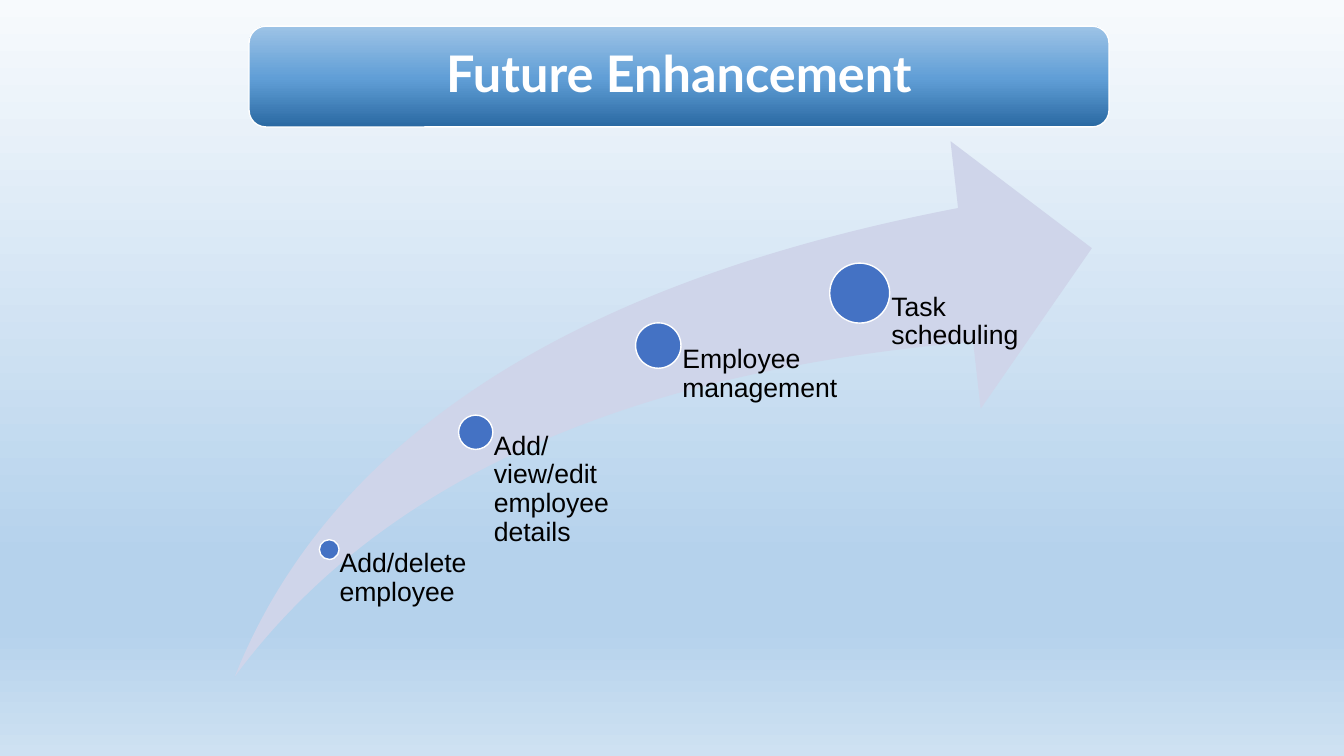
from lxml import etree
from pptx import Presentation
from pptx.dml.color import RGBColor
from pptx.enum.shapes import MSO_SHAPE
from pptx.enum.text import MSO_ANCHOR, PP_ALIGN
from pptx.oxml.ns import qn
from pptx.util import Inches, Pt

ROUNDED, SWOOSH, OVAL = MSO_SHAPE.ROUNDED_RECTANGLE, MSO_SHAPE.SWOOSH_ARROW, MSO_SHAPE.OVAL
TOP, MIDDLE = MSO_ANCHOR.TOP, MSO_ANCHOR.MIDDLE
LEFT, CENTER = PP_ALIGN.LEFT, PP_ALIGN.CENTER

COLORS = {"white": "FFFFFF", "black": "000000", "arrow": "CFD5EA", "dot": "4472C4"}
SKY = [(0, "F7FAFD"), (74, "B5D2EC"), (83, "B5D2EC"), (100, "CEE1F2")]
BANNER = [(0, "2A69A2"), (48, "609ED6"), (100, "9DC3E6")]


def set_gradient(fill, owner, stops, angle):
    fill.gradient()
    fill.gradient_angle = angle
    stop_list = next(owner.iter(qn("a:gsLst")))
    for old_stop in list(stop_list):
        stop_list.remove(old_stop)
    for percent, color in stops:
        stop = etree.SubElement(stop_list, qn("a:gs"), pos=str(percent * 1000))
        etree.SubElement(stop, qn("a:srgbClr"), val=color)


def add_label(group, box, text, insets, size, font, color, bold, align, anchor):
    frame = group.shapes.add_textbox(*map(Inches, box)).text_frame
    frame.word_wrap = True
    frame.vertical_anchor = anchor
    frame.margin_left, frame.margin_top, frame.margin_right, frame.margin_bottom = map(Inches, insets)
    paragraph = frame.paragraphs[0]
    paragraph.alignment = align
    paragraph.line_spacing = 0.9
    run = paragraph.add_run()
    run.text = text
    run.font.size = Pt(size)
    run.font.name = font
    run.font.bold = bold
    run.font.color.rgb = RGBColor.from_string(COLORS[color])


prs = Presentation()
prs.slide_width, prs.slide_height = Inches(13.33), Inches(7.5)
slide = prs.slides.add_slide(prs.slide_layouts[6])
set_gradient(slide.background.fill, slide.element, SKY, 270)

title_group = slide.shapes.add_group_shape()
banner = title_group.shapes.add_shape(ROUNDED, Inches(2.47), Inches(0.26), Inches(8.53), Inches(1))
banner.shadow.inherit = False
set_gradient(banner.fill, banner.element, BANNER, 90)
banner.line.color.rgb = RGBColor.from_string(COLORS["white"])
banner.line.width = Pt(1)
add_label(title_group, (2.52, 0.31, 8.43, 0.9), "Future Enhancement", [0.15] * 4,
          36, "Lato", "white", True, CENTER, MIDDLE)

arrow_left, arrow_top, arrow_width, arrow_height = 2.33, 1.4, 8.5, 5.31
roadmap = slide.shapes.add_group_shape()
arrow = roadmap.shapes.add_shape(
    SWOOSH, *map(Inches, (arrow_left, arrow_top, arrow_width, arrow_height)))
arrow.shadow.inherit = False
arrow.adjustments[0] = arrow.adjustments[1] = 0.25
arrow.fill.solid()
arrow.fill.fore_color.rgb = RGBColor.from_string(COLORS["arrow"])
arrow.line.fill.background()

milestones = [
    ("Add/delete employee", 0.11, 0.763, 0.023, 0.17),
    ("Add/ view/edit employee details", 0.281, 0.544, 0.04, 0.21),
    ("Employee management", 0.494, 0.382, 0.053, 0.21),
    ("Task scheduling", 0.729, 0.284, 0.07, 0.21),
]
for text, across, down, dot_share, label_share in milestones:
    center_x = arrow_left + across * arrow_width
    center_y = arrow_top + down * arrow_height
    diameter = dot_share * arrow_width
    dot = roadmap.shapes.add_shape(OVAL, Inches(center_x - diameter / 2), Inches(center_y - diameter / 2),
                                   Inches(diameter), Inches(diameter))
    dot.shadow.inherit = False
    dot.fill.solid()
    dot.fill.fore_color.rgb = RGBColor.from_string(COLORS["dot"])
    dot.line.color.rgb = RGBColor.from_string(COLORS["white"])
    dot.line.width = Pt(1)
    label_box = (center_x, center_y, label_share * arrow_width, (1 - down) * arrow_height)
    add_label(roadmap, label_box, text, (0.53 * diameter, 0, 0, 0),
              19, "Arial", "black", False, LEFT, TOP)

prs.save("out.pptx")
